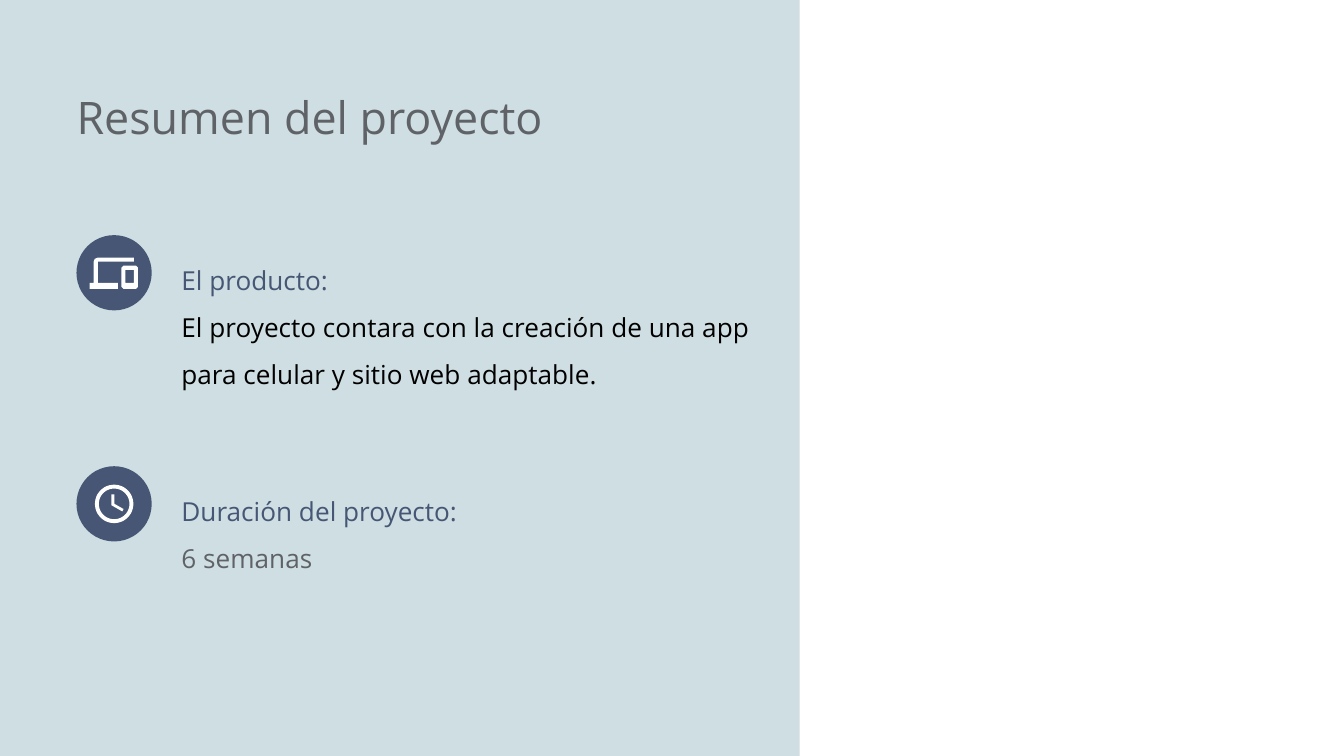
from math import cos, pi, sin

from pptx import Presentation
from pptx.dml.color import RGBColor
from pptx.enum.shapes import MSO_SHAPE
from pptx.enum.text import MSO_ANCHOR, MSO_AUTO_SIZE, PP_ALIGN
from pptx.util import Pt

RECT, OVAL = MSO_SHAPE.RECTANGLE, MSO_SHAPE.OVAL
TOP, LEFT, FIXED = MSO_ANCHOR.TOP, PP_ALIGN.LEFT, MSO_AUTO_SIZE.NONE
FONT = "Open Sans"
NAVY, GREY, BLACK, WHITE, PALE = "465674", "5F6368", "000000", "FFFFFF", "CEDEE2"
DISC = 40.3
INDENT = 56.2


def color(code):
    return RGBColor.from_string(code)


def paint(shape, code):
    shape.shadow.inherit = False
    shape.fill.solid()
    shape.fill.fore_color.rgb = color(code)
    shape.line.fill.background()
    return shape


def place(shape, box):
    shape.left, shape.top, shape.width, shape.height = map(Pt, box)


def write(frame, lines, size, spacing):
    """Fill a text frame with (text, colour) lines."""
    frame.word_wrap = True
    frame.auto_size = FIXED
    frame.vertical_anchor = TOP
    frame.margin_left = 0
    frame.margin_top = frame.margin_right = frame.margin_bottom = Pt(7.2)
    for i, (text, code) in enumerate(lines):
        para = frame.paragraphs[0] if i == 0 else frame.add_paragraph()
        para.text = text
        para.alignment = LEFT
        para.line_spacing = spacing
        para.font.name = FONT
        para.font.size = Pt(size)
        para.font.color.rgb = color(code)


def ring(radius, steps=48):
    """Points of a circle centred on the disc."""
    mid = DISC / 2
    turns = [2 * pi * i / steps for i in range(steps)]
    return [(mid + radius * cos(t), mid + radius * sin(t)) for t in turns]


def frame_rect(x1, y1, x2, y2):
    return [(x1, y1), (x2, y1), (x2, y2), (x1, y2)]


# Icon outlines, in points from the disc's top left corner
CLOCK = [
    ring(10.3),
    ring(8.2),
    [(18.7, 15.1), (18.7, 20.9), (24.5, 24.2), (25.2, 22.9), (20.3, 20.1), (20.3, 15.1)],
]
SCREENS = [
    # Laptop
    [(11.5, 14.2), (30.8, 14.2), (30.8, 12), (11.5, 12), (9.8, 12.7), (9.2, 14.2),
     (9.2, 25.6), (7, 25.6), (7, 28.8), (22.2, 28.8), (22.2, 25.6), (11.5, 25.6)],
    # Phone, with its display cut out
    [(25.2, 16.3), (31.8, 16.3), (32.9, 17.4), (32.9, 27.7), (31.8, 28.8),
     (25.2, 28.8), (24.1, 27.7), (24.1, 17.4)],
    frame_rect(26.2, 18.6, 30.8, 25.6),
]


def add_icon(shapes, left, top, outlines):
    paint(shapes.add_shape(OVAL, Pt(left), Pt(top), Pt(DISC), Pt(DISC)), NAVY)
    pen = None
    for outline in outlines:
        points = [(Pt(left + x), Pt(top + y)) for x, y in outline]
        if pen is None:
            pen = shapes.build_freeform(*points[0])
        else:
            pen.move_to(*points[0])
        pen.add_line_segments(points[1:], close=True)
    paint(pen.convert_to_shape(), WHITE)


def add_item(shapes, box, outlines, lines):
    """Icon at the left of the box, heading and text beside it."""
    left, top, width, height = box
    add_icon(shapes, left, top, outlines)
    text = shapes.add_textbox(Pt(left + INDENT), Pt(top), Pt(width - INDENT), Pt(height))
    write(text.text_frame, lines, 14, 1.5)


def add_title(shapes, box, text):
    place(shapes.title, box)
    write(shapes.title.text_frame, [(text, GREY)], 24, 1)


def add_panel(shapes, box):
    panel = paint(shapes.add_shape(RECT, *map(Pt, box)), PALE)
    shapes.title.element.addprevious(panel.element)  # behind the title


def main():
    deck = Presentation()
    deck.slide_width, deck.slide_height = Pt(720), Pt(405)
    shapes = deck.slides.add_slide(deck.slide_layouts[5]).shapes

    add_panel(shapes, (0, 0, 428.4, 405))
    add_title(shapes, (41, 41, 484.6, 44), "Resumen del proyecto")
    add_item(shapes, (41, 126, 378, 90.7), SCREENS, [
        ("El producto:", NAVY),
        ("El proyecto contara con la creación de una app para celular "
         "y sitio web adaptable.", BLACK),
    ])
    add_item(shapes, (41, 249.8, 327.6, 65.5), CLOCK, [
        ("Duración del proyecto:", NAVY),
        ("6 semanas", GREY),
    ])
    deck.save("out.pptx")


if __name__ == "__main__":
    main()
